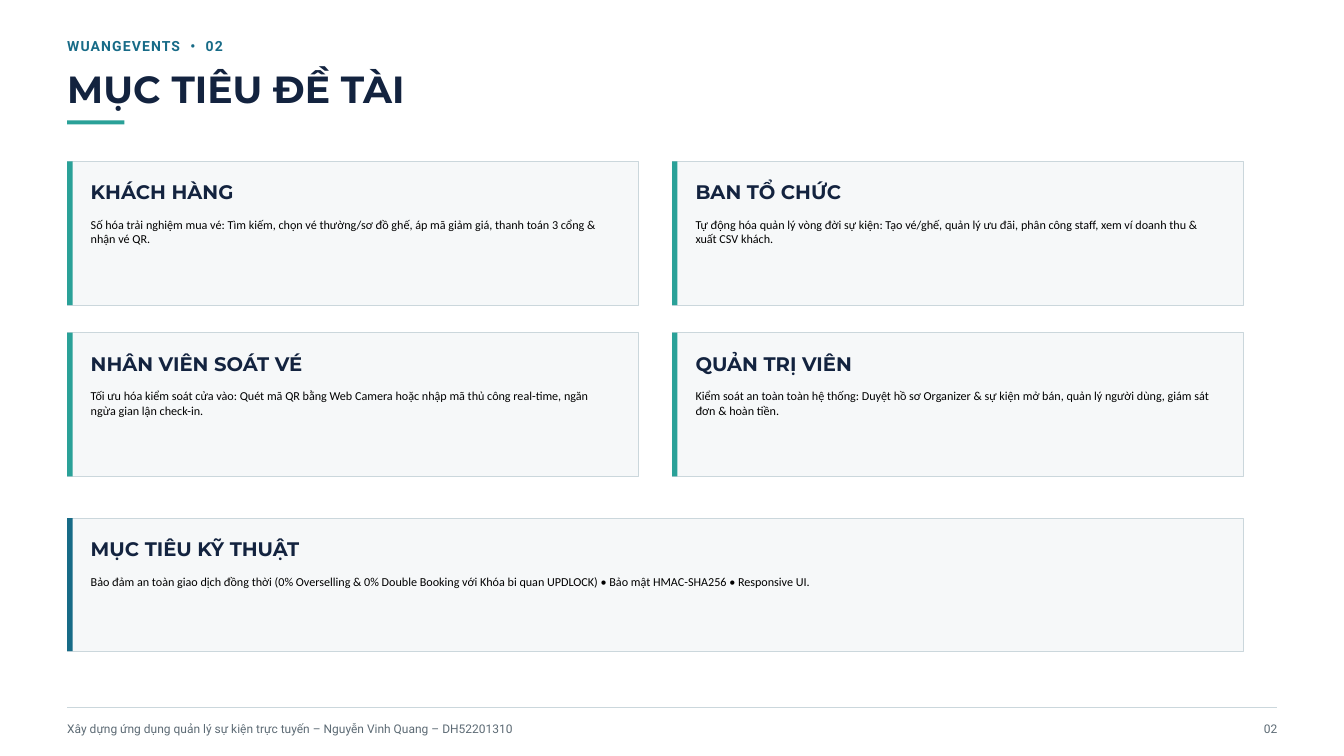
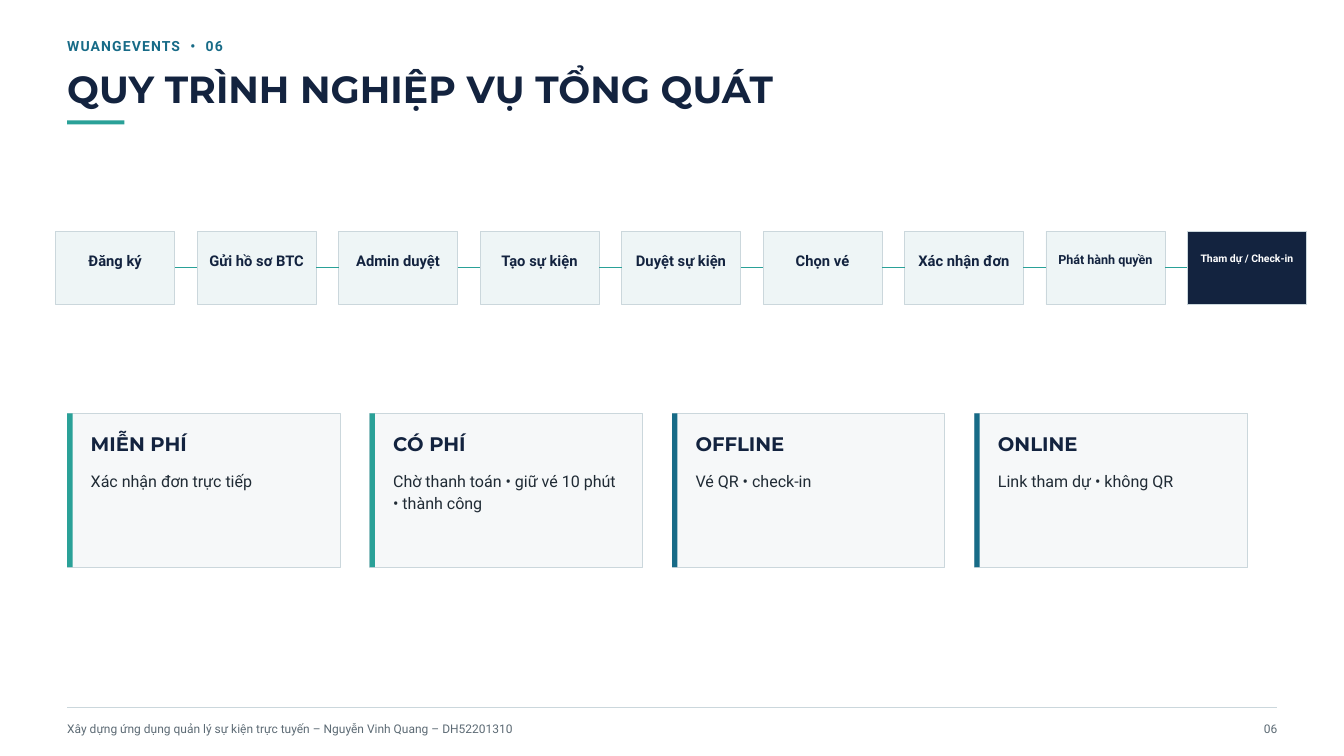
from lxml import etree
from pptx import Presentation
from pptx.dml.color import RGBColor
from pptx.enum.shapes import MSO_CONNECTOR as Connector, MSO_SHAPE as Preset
from pptx.enum.text import MSO_AUTO_SIZE as AutoSize, PP_ALIGN as Align
from pptx.oxml.ns import qn
from pptx.util import Inches, Pt

# Colours
WHITE = RGBColor(0xFF, 0xFF, 0xFF)
BLACK = RGBColor(0x00, 0x00, 0x00)
NAVY = RGBColor(0x13, 0x23, 0x3F)
BLUE = RGBColor(0x17, 0x6B, 0x87)
TEAL = RGBColor(0x2A, 0xA1, 0x98)
INK = RGBColor(0x20, 0x2B, 0x35)
GREY = RGBColor(0x5D, 0x6B, 0x75)
BORDER = RGBColor(0xCB, 0xD7, 0xDC)
PANEL = RGBColor(0xF6, 0xF8, 0xF9)
MIST = RGBColor(0xEE, 0xF5, 0xF6)


def style(font, size, color, bold=False):
    return {"name": font, "size": Pt(size), "color": color, "bold": bold}


# Text styles, each with its line height in points (None for single spacing)
KICKER = style("Roboto", 15, BLUE, True), 21
TITLE = style("Montserrat", 40.5, NAVY, True), 45.4
HEADING = style("Montserrat", 21, NAVY, True), 24.1
NOTE = style("Calibri", 13, BLACK), None
BODY = style("Roboto", 17.2, INK), 23.3
FOOTER = style("Roboto", 12.8, GREY), 16.6
STEP = style("Roboto", 15.8, NAVY, True), 21.3
STEP_SMALL = style("Roboto", 13.5, NAVY, True), 18.2
STEP_LAST = style("Roboto", 11.2, WHITE, True), 15.2

# Shared layout, in inches
LEFT, RIGHT = 1, 19
COLUMN = 4.5
FOOTER_TEXT = "Xây dựng ứng dụng quản lý sự kiện trực tuyến – Nguyễn Vinh Quang – DH52201310"

AUDIENCES = [
    ("KHÁCH HÀNG", "Số hóa trải nghiệm mua vé: Tìm kiếm, chọn vé thường/sơ đồ ghế, "
     "áp mã giảm giá, thanh toán 3 cổng & nhận vé QR."),
    ("BAN TỔ CHỨC", "Tự động hóa quản lý vòng đời sự kiện: Tạo vé/ghế, quản lý ưu đãi, "
     "phân công staff, xem ví doanh thu & xuất CSV khách."),
    ("NHÂN VIÊN SOÁT VÉ", "Tối ưu hóa kiểm soát cửa vào: Quét mã QR bằng Web Camera hoặc "
     "nhập mã thủ công real-time, ngăn ngừa gian lận check-in."),
    ("QUẢN TRỊ VIÊN", "Kiểm soát an toàn toàn hệ thống: Duyệt hồ sơ Organizer & sự kiện mở bán, "
     "quản lý người dùng, giám sát đơn & hoàn tiền."),
]
TECHNICAL = ("MỤC TIÊU KỸ THUẬT", "Bảo đảm an toàn giao dịch đồng thời (0% Overselling & 0% Double "
             "Booking với Khóa bi quan UPDLOCK) • Bảo mật HMAC-SHA256 • Responsive UI.")
STEPS = ["Đăng ký", "Gửi hồ sơ BTC", "Admin duyệt", "Tạo sự kiện", "Duyệt sự kiện",
         "Chọn vé", "Xác nhận đơn", "Phát hành quyền", "Tham dự / Check-in"]
# Steps whose longer label needs its own text style
STEP_STYLES = {7: STEP_SMALL, 8: STEP_LAST}
BRANCHES = [
    ("MIỄN PHÍ", "Xác nhận đơn trực tiếp", TEAL),
    ("CÓ PHÍ", "Chờ thanh toán • giữ vé 10 phút • thành công", TEAL),
    ("OFFLINE", "Vé QR • check-in", BLUE),
    ("ONLINE", "Link tham dự • không QR", BLUE),
]


def add_text(shapes, box, text, text_style, align=Align.LEFT):
    """Add one paragraph of text without margins and return its run."""
    look, line_height = text_style
    frame = shapes.add_textbox(*map(Inches, box)).text_frame
    settings = {"word_wrap": True, "auto_size": AutoSize.SHAPE_TO_FIT_TEXT, "margin_left": 0,
                "margin_top": 0, "margin_right": 0, "margin_bottom": 0}
    for name, value in settings.items():
        setattr(frame, name, value)
    para = frame.paragraphs[0]
    para.alignment = align
    if line_height:
        para.line_spacing = Pt(line_height)
    span = para.add_run()
    span.text = text
    for name, value in look.items():
        if name == "color":
            span.font.color.rgb = value
        else:
            setattr(span.font, name, value)
    return span


def add_rect(shapes, box, fill, border=None):
    rect = shapes.add_shape(Preset.RECTANGLE, *map(Inches, box))
    rect.shadow.inherit = False
    rect.fill.solid()
    rect.fill.fore_color.rgb = fill
    if border is None:
        rect.line.fill.background()
    else:
        rect.line.color.rgb = border
        rect.line.width = Pt(0.75)
    return rect


def add_line(shapes, start, end, color, width):
    line = shapes.add_connector(Connector.STRAIGHT, *map(Inches, (*start, *end)))
    line.line.color.rgb = color
    line.line.width = Pt(width)
    etree.SubElement(line._element.spPr, qn("a:effectLst"))
    return line


def add_frame(page, number, title):
    """Heading and footer shared by all slides."""
    page.background.fill.solid()
    page.background.fill.fore_color.rgb = WHITE
    shapes = page.shapes
    kicker = add_text(shapes, (LEFT, 0.52, 9.38, 0.29), f"WUANGEVENTS  •  {number}", KICKER)
    kicker._r.get_or_add_rPr().set("spc", "120")
    add_text(shapes, (LEFT, 1.02, 15.62, 0.63), title, TITLE)
    add_rect(shapes, (LEFT, 1.79, 0.85, 0.06), TEAL)
    add_line(shapes, (LEFT, 10.52), (RIGHT, 10.52), BORDER, 0.75)
    add_text(shapes, (LEFT, 10.72, 15.1, 0.22), FOOTER_TEXT, FOOTER)
    add_text(shapes, (18.28, 10.72, 0.73, 0.22), number, FOOTER, Align.RIGHT)


def add_card(page, box, heading, body, accent, body_style):
    """Bordered panel with an accent bar, a heading and body text."""
    left, top, width, height = box
    shapes = page.shapes.add_group_shape().shapes
    add_rect(shapes, box, PANEL, BORDER)
    add_rect(shapes, (left, top, 0.08, height), accent)
    text_width = width - 0.71
    add_text(shapes, (left + 0.35, top + 0.3, text_width, 0.34), heading, HEADING)
    add_text(shapes, (left + 0.35, top + 0.83, text_width, 0.31), body, body_style)


def add_flow(page, box):
    """Row of equally spaced steps, each joined to the next."""
    left, top, width, height = box
    step_width = 1.77
    pitch = (width - step_width) / (len(STEPS) - 1)
    middle = top + height / 2
    previous = None
    for index, label in enumerate(STEPS):
        x = left + index * pitch
        is_last = index == len(STEPS) - 1
        step = add_rect(page.shapes, (x, top, step_width, height), NAVY if is_last else MIST, BORDER)
        if previous is not None:
            link = add_line(page.shapes, (x - pitch + step_width, middle), (x, middle), TEAL, 1.5)
            link.begin_connect(previous, 3)
            link.end_connect(step, 1)
        add_text(page.shapes, (x + 0.1, top + 0.28, step_width - 0.2, 0.29), label,
                 STEP_STYLES.get(index, STEP), Align.CENTER)
        previous = step


def build_goals(page):
    add_frame(page, "02", "MỤC TIÊU ĐỀ TÀI")
    for index, (heading, body) in enumerate(AUDIENCES):
        row, column = divmod(index, 2)
        box = (LEFT + column * 2 * COLUMN, 2.4 + row * 2.55, 8.5, 2.14)
        add_card(page, box, heading, body, TEAL, NOTE)
    add_card(page, (LEFT, 7.71, 17.5, 1.98), *TECHNICAL, BLUE, NOTE)


def build_process(page):
    add_frame(page, "06", "QUY TRÌNH NGHIỆP VỤ TỔNG QUÁT")
    add_flow(page, (0.83, 3.44, 18.61, 1.09))
    for index, (heading, body, accent) in enumerate(BRANCHES):
        box = (LEFT + index * COLUMN, 6.15, 4.06, 2.29)
        add_card(page, box, heading, body, accent, BODY)


def main():
    deck = Presentation()
    deck.slide_width, deck.slide_height = Inches(20), Inches(11.25)
    for build in (build_goals, build_process):
        build(deck.slides.add_slide(deck.slide_layouts[6]))
    deck.save("out.pptx")


if __name__ == "__main__":
    main()
